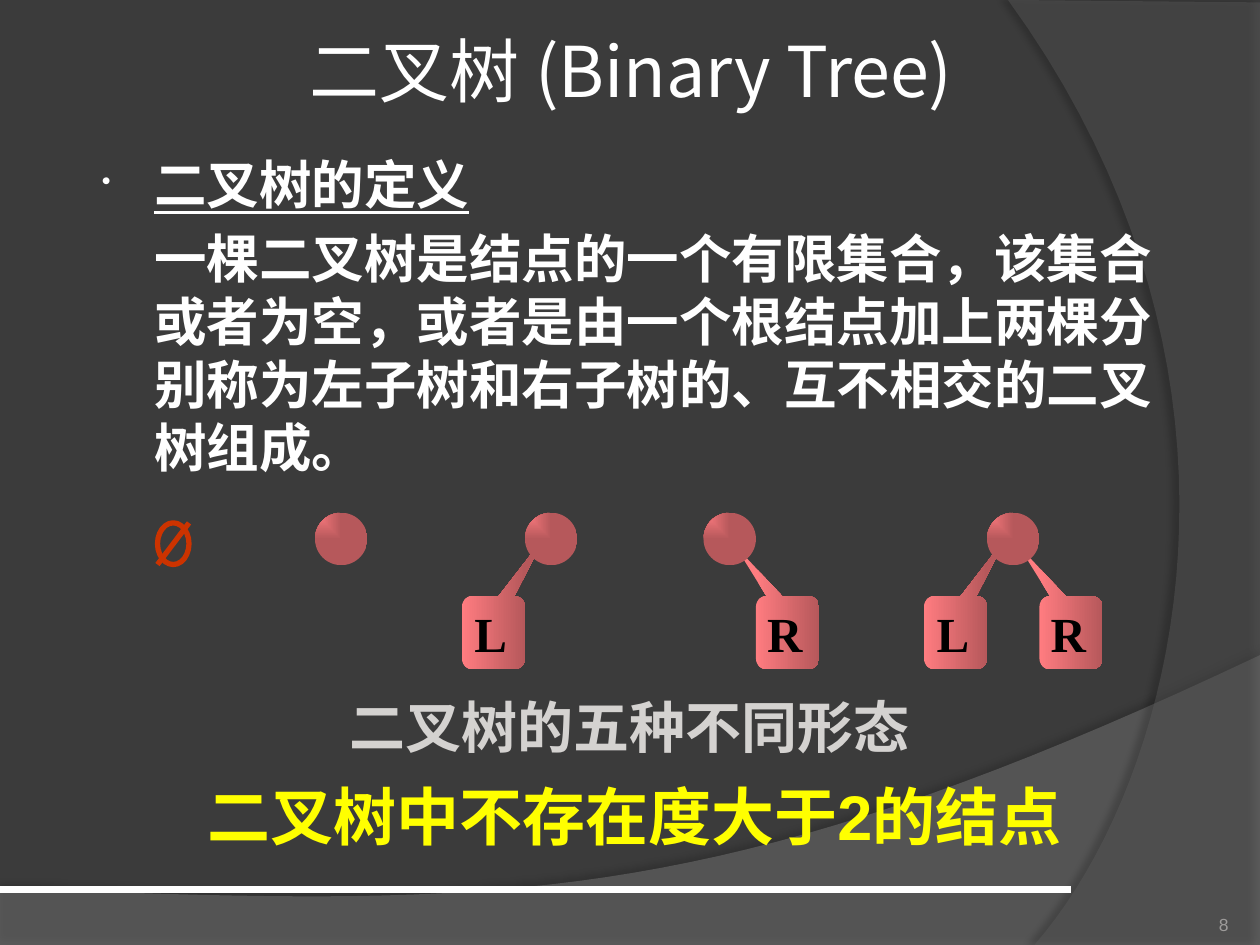
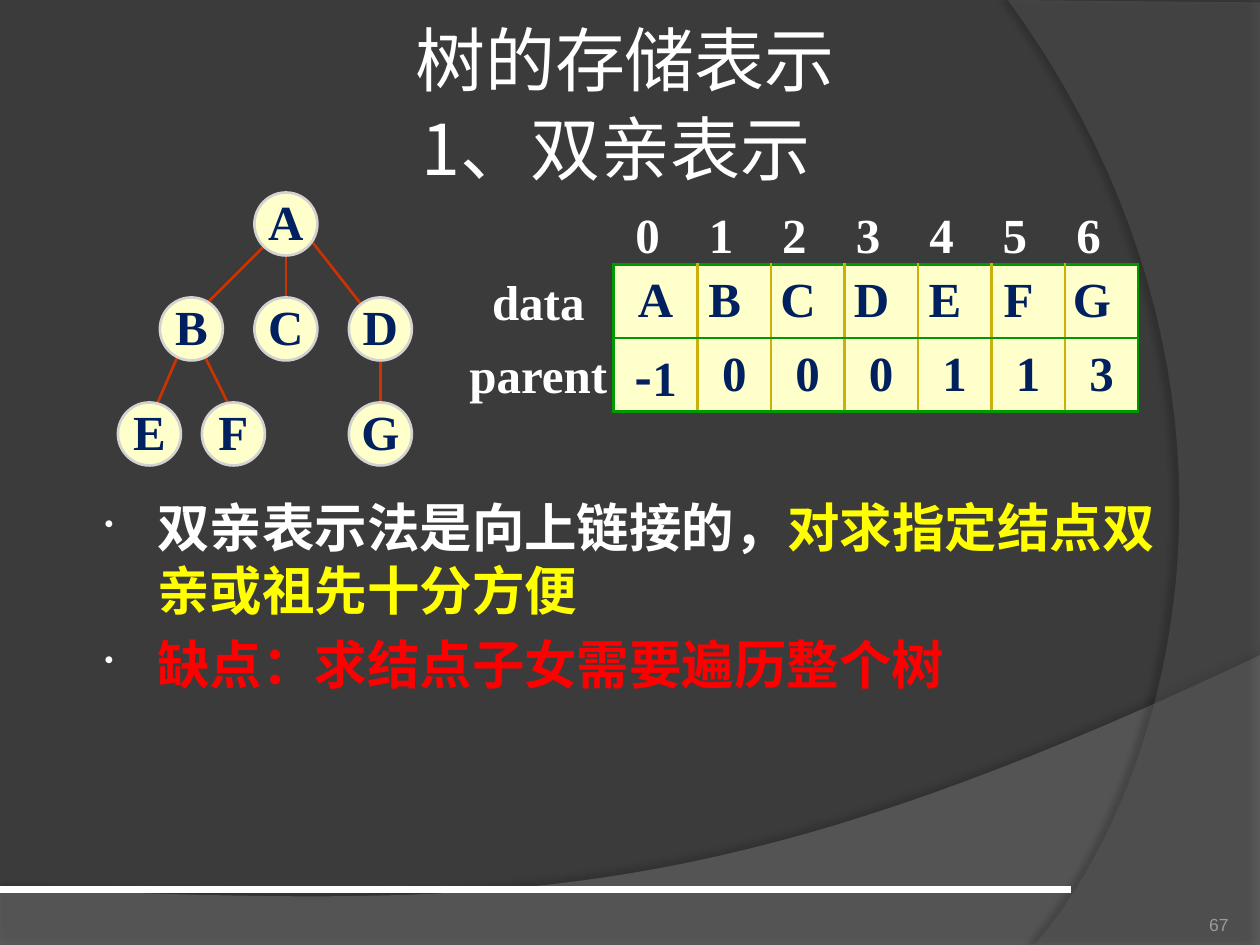
"""Build two slides on binary trees and the parent form of a tree."""
import lxml.etree
import pptx
import pptx.dml.color
import pptx.enum.shapes
import pptx.enum.text
import pptx.oxml.ns
import pptx.util

Pt = pptx.util.Pt
RGB = pptx.dml.color.RGBColor
SHAPE = pptx.enum.shapes.MSO_SHAPE
ALIGN = pptx.enum.text.PP_ALIGN
ANCHOR = pptx.enum.text.MSO_ANCHOR
qn = pptx.oxml.ns.qn

DARK = RGB(0x3B, 0x3B, 0x3B)
WAVE = RGB(0x7F, 0x7F, 0x7F)
SIDE = RGB(0x5E, 0x5E, 0x5E)
WHITE = RGB(0xFF, 0xFF, 0xFF)
BLACK = RGB(0, 0, 0)
SILVER = RGB(0xD4, 0xD2, 0xD0)
GRAY = RGB(0x9D, 0x9B, 0x9A)
YELLOW = RGB(0xFF, 0xFF, 0)
RED = RGB(0xFF, 0, 0)
RUST = RGB(0xCC, 0x33, 0)
PINK = RGB(0xFF, 0x7C, 0x80)
CREAM = RGB(0xFF, 0xFF, 0xCC)
NAVY = RGB(0, 0x20, 0x60)
GREEN = RGB(0, 0x99, 0)
GOLD = RGB(0xCC, 0xAF, 0x0A)

SERIF = "Times New Roman"
SANS = "Arial"
HEAD = "Noto Sans CJK JP"
HAN = "Noto Sans CJK SC"


def add(parent, tag, **attrs):
    """Append a drawing element with its attributes."""
    node = lxml.etree.SubElement(parent, qn(tag))
    for key, value in attrs.items():
        node.set(key, str(value))
    return node


def write(frame, paras, size=28, color=WHITE, font=SERIF, han=HAN, bold=True,
          align=ALIGN.CENTER, anchor=ANCHOR.MIDDLE, wrap=True, inset=(0, 0, 0, 0),
          lead=None, before=0, marks=()):
    """Fill a text frame; each paragraph is a string or a list of (text, format) runs."""
    frame.word_wrap = wrap
    frame.vertical_anchor = anchor
    (frame.margin_left, frame.margin_top,
     frame.margin_right, frame.margin_bottom) = map(Pt, inset)
    for i, runs in enumerate([paras] if isinstance(paras, str) else paras):
        para = frame.paragraphs[0] if i == 0 else frame.add_paragraph()
        para.alignment = align
        if lead:
            para.line_spacing = Pt(lead)
        if i:
            para.space_before = Pt(before)
        if marks:
            indent(para, marks[i])
        for text, style in [(runs, {})] if isinstance(runs, str) else runs:
            run = para.add_run()
            run.text = text
            face = run.font
            face.size, face.bold = Pt(size), bold
            face.name = style.get("font", font)
            face.color.rgb = style.get("color", color)
            if style.get("under"):
                face.underline = True
            add(face._element, "a:ea", typeface=han)


def indent(para, mark):
    """Set a left margin, with a small hanging bullet if marked."""
    props = para._p.get_or_add_pPr()
    props.set("marL", str(Pt(33)))
    props.set("indent", str(Pt(-30) if mark else 0))
    if mark:
        add(add(props, "a:buClr"), "a:srgbClr", val=WHITE)
        add(props, "a:buSzPct", val=50000)
        add(props, "a:buChar", char="•")
    else:
        add(props, "a:buNone")


def label(slide, box, paras, **style):
    """Add a text box."""
    write(slide.shapes.add_textbox(*map(Pt, box)).text_frame, paras, **style)


def shape(slide, kind, box, fill=None, line=None, width=1.5):
    """Add a preset shape with a plain fill and line."""
    item = slide.shapes.add_shape(kind, *map(Pt, box))
    item.shadow.inherit = False
    if fill is None:
        item.fill.background()
    else:
        item.fill.solid()
        item.fill.fore_color.rgb = fill
    if line is None:
        item.line.fill.background()
    else:
        item.line.color.rgb = line
        item.line.width = Pt(width)
    return item


def rule(slide, ends, color, width=1.5):
    """Add a straight line."""
    line = slide.shapes.add_connector(
        pptx.enum.shapes.MSO_CONNECTOR.STRAIGHT, *map(Pt, ends))
    line.line.color.rgb = color
    line.line.width = Pt(width)
    add(line._element.spPr, "a:effectLst")


def curve(a, b, c, d, steps=40):
    """Return points along a cubic curve."""
    return [tuple((1 - t) ** 3 * p + 3 * (1 - t) ** 2 * t * q
                  + 3 * (1 - t) * t * t * r + t ** 3 * s
                  for p, q, r, s in zip(a, b, c, d))
            for t in (i / steps for i in range(steps + 1))]


def sweep(slide, points, color, alpha, shade, gap, angle):
    """Add a clear curved band with a soft shadow."""
    spots = [(Pt(x), Pt(y)) for x, y in points]
    form = slide.shapes.build_freeform(*spots[0])
    form.add_line_segments(spots[1:])
    band = form.convert_to_shape()
    band.fill.solid()
    band.fill.fore_color.rgb = color
    band.line.fill.background()
    props = band._element.spPr
    add(props.find(".//" + qn("a:srgbClr")), "a:alpha", val=alpha * 1000)
    cast = add(add(props, "a:effectLst"), "a:outerShdw", blurRad=Pt(4),
               dist=Pt(gap), dir=angle * 60000, algn="ctr", rotWithShape=0)
    add(add(cast, "a:srgbClr", val=BLACK), "a:alpha", val=shade * 1000)


def base(deck, number):
    """Add a slide with the shared backdrop and page number."""
    slide = deck.slides.add_slide(deck.slide_layouts[6])
    slide.background.fill.solid()
    slide.background.fill.fore_color.rgb = DARK
    wave = curve((720, 374.4), (402.5, 524.9), (281.5, 517.7), (0, 507.6))
    sweep(slide, [(0, 540), (720, 540)] + wave, WAVE, 45, 35, 3.5, 270)
    side = curve((591.1, 540), (673.2, 445.7), (733, 216), (576, 0))
    sweep(slide, [(720, 1.4), (720, 540)] + side, SIDE, 40, 45, 4, 180)
    rule(slide, (0, 508.3, 612, 508.3), WHITE, 4.5)
    label(slide, (642.2, 505.4, 59.8, 28.8), number, size=10, color=GRAY,
          font=SANS, bold=False, align=ALIGN.RIGHT, anchor=ANCHOR.BOTTOM)
    return slide


def title(slide, box, text):
    """Add a title line."""
    label(slide, box, text, size=40, font=HEAD, han=HEAD, bold=False,
          inset=(3.6,) * 4)


def prose(slide, box, paras, size=30, **style):
    """Add a block of bold Chinese text with tight lines."""
    label(slide, box, paras, size=size, lead=size * 1.2, before=size / 5,
          anchor=ANCHOR.TOP, inset=(7.2, 7.2, 7.2, 3.6), **style)


def blend(item, corner=False):
    """Fill a shape with the pink blend, sideways or from its corner."""
    item.fill.gradient()
    item.fill.gradient_angle = 0
    for stop, spot in zip(item.fill.gradient_stops, (0, 1)):
        stop.position = spot
        stop.color.rgb = PINK
    grad = item._element.spPr.find(qn("a:gradFill"))
    add(grad.findall(".//" + qn("a:srgbClr"))[1], "a:shade", val=46275)
    if corner:
        grad.remove(grad.find(qn("a:lin")))
        course = add(grad, "a:path", path="rect")
        add(course, "a:fillToRect", r=100000, b=100000)


def ball(slide, left):
    """Add a root ball."""
    blend(shape(slide, SHAPE.OVAL, (left, 293, 30, 30), PINK), corner=True)


def branch(slide, left, text, tip):
    """Add a subtree box whose tail points to its root."""
    item = shape(slide, SHAPE.ROUNDED_RECTANGULAR_CALLOUT,
                 (left, 340.6, 36, 41.8), PINK)
    for i, value in enumerate(tip + (0.167,)):
        item.adjustments[i] = value
    blend(item)
    write(item.text_frame, text, color=BLACK, wrap=False, inset=(0, 0, 3, 0))


def node(slide, text, x, y):
    """Add a tree node about its centre."""
    item = shape(slide, SHAPE.OVAL, (x - 18, y - 18, 36, 36), CREAM, SILVER)
    write(item.text_frame, text, color=NAVY, wrap=False, inset=(0, 0, 0, 4))


def edge(props, side, color):
    """Draw one border of a table cell."""
    line = add(props, "a:ln" + side, w=Pt(1.5))
    add(add(line, "a:solidFill"), "a:srgbClr", val=color)


def grid(slide, left, top, rows):
    """Add the table of node data and parent links."""
    count = len(rows[0])
    table = slide.shapes.add_table(
        len(rows), count, Pt(left), Pt(top), Pt(42 * count + 6), Pt(84)).table
    table.first_row = table.horz_banding = False
    for c in range(count):
        table.columns[c].width = Pt(42 if c else 48)
    for r, row in enumerate(rows):
        table.rows[r].height = Pt(42)
        for c, text in enumerate(row):
            cell = table.cell(r, c)
            props = cell._tc.get_or_add_tcPr()
            for side, color in (("L", GOLD if c else GREEN),
                                ("R", GOLD if c < count - 1 else GREEN),
                                ("T", GREEN), ("B", GREEN)):
                edge(props, side, color)
            cell.fill.solid()
            cell.fill.fore_color.rgb = CREAM
            write(cell.text_frame, [text], color=NAVY)
            cell.vertical_anchor = ANCHOR.MIDDLE
            cell.margin_left = cell.margin_top = cell.margin_bottom = 0
            cell.margin_right = Pt(0 if r or not c else 11)


def binary(deck):
    """Build the slide that defines a binary tree."""
    slide = base(deck, "8")
    title(slide, (36.7, 0, 648, 79.2), "二叉树 (Binary Tree)")
    prose(slide, (48.2, 79.9, 626.4, 201.6), [
        [("二叉树的定义", {"under": True})],
        "一棵二叉树是结点的一个有限集合，该集合或者为空，或者是由一个根结点"
        "加上两棵分别称为左子树和右子树的、互不相交的二叉树组成。",
    ], align=ALIGN.LEFT, marks=(True, False))
    shape(slide, SHAPE.OVAL, (90, 298.8, 18, 23.8), line=RUST, width=3)
    rule(slide, (108, 298.8, 90, 322.6), RUST, 3)
    for left in (264, 528):
        branch(slide, left, "L", (0.819, -1.318))
    for left in (432, 594):
        branch(slide, left, "R", (-0.83, -1.188))
    for left in (180, 300, 402, 564):
        ball(slide, left)
    prose(slide, (108, 388.8, 504, 45.4), "二叉树的五种不同形态",
          size=32, color=SILVER)
    prose(slide, (79.2, 437, 566.6, 51.1), "二叉树中不存在度大于2的结点",
          size=36, color=YELLOW, font=SANS)


def parent(deck):
    """Build the slide on storing a tree by parent links."""
    slide = base(deck, "67")
    title(slide, (79.2, 0.7, 555.8, 65.5), "树的存储表示")
    title(slide, (28.1, 48.2, 648, 72.7), "1、双亲表示")
    for ends in ((217.4, 200.2, 217.4, 241.9), (175, 133.9, 217.4, 187.9),
                 (115.2, 200.2, 133.2, 236.2), (103, 200.2, 85, 241.9),
                 (151.2, 140.4, 115.2, 176.4), (163.4, 140.4, 163.4, 176.4)):
        rule(slide, ends, RUST)
    for text, x, y in (("A", 163.4, 128), ("B", 109.4, 188), ("C", 163.4, 188),
                       ("D", 217.4, 188), ("E", 85.4, 248), ("F", 133.4, 248),
                       ("G", 217.4, 248)):
        node(slide, text, x, y)
    grid(slide, 350.6, 151.2, [
        list("ABCDEFG"),
        [[("-", {"font": HAN}), ("1", {})]] + list("000113"),
    ])
    for i in range(7):
        label(slide, (349 + 42 * i, 113, 42, 41), str(i))
    for i, text in enumerate(("data", "parent")):
        label(slide, (260.6, 151.2 + 42 * i, 94, 41), text, wrap=False)
    prose(slide, (49.7, 275.8, 625, 237.6), [
        [("双亲表示法是向上链接的，", {}),
         ("对求指定结点双亲或祖先十分方便", {"color": YELLOW})],
        [("缺点：求结点子女需要遍历整个树", {"color": RED})],
    ], align=ALIGN.LEFT, marks=(True, True))


def main():
    """Build and save the deck."""
    deck = pptx.Presentation()
    deck.slide_width, deck.slide_height = Pt(720), Pt(540)
    binary(deck)
    parent(deck)
    deck.save("out.pptx")


if __name__ == "__main__":
    main()
